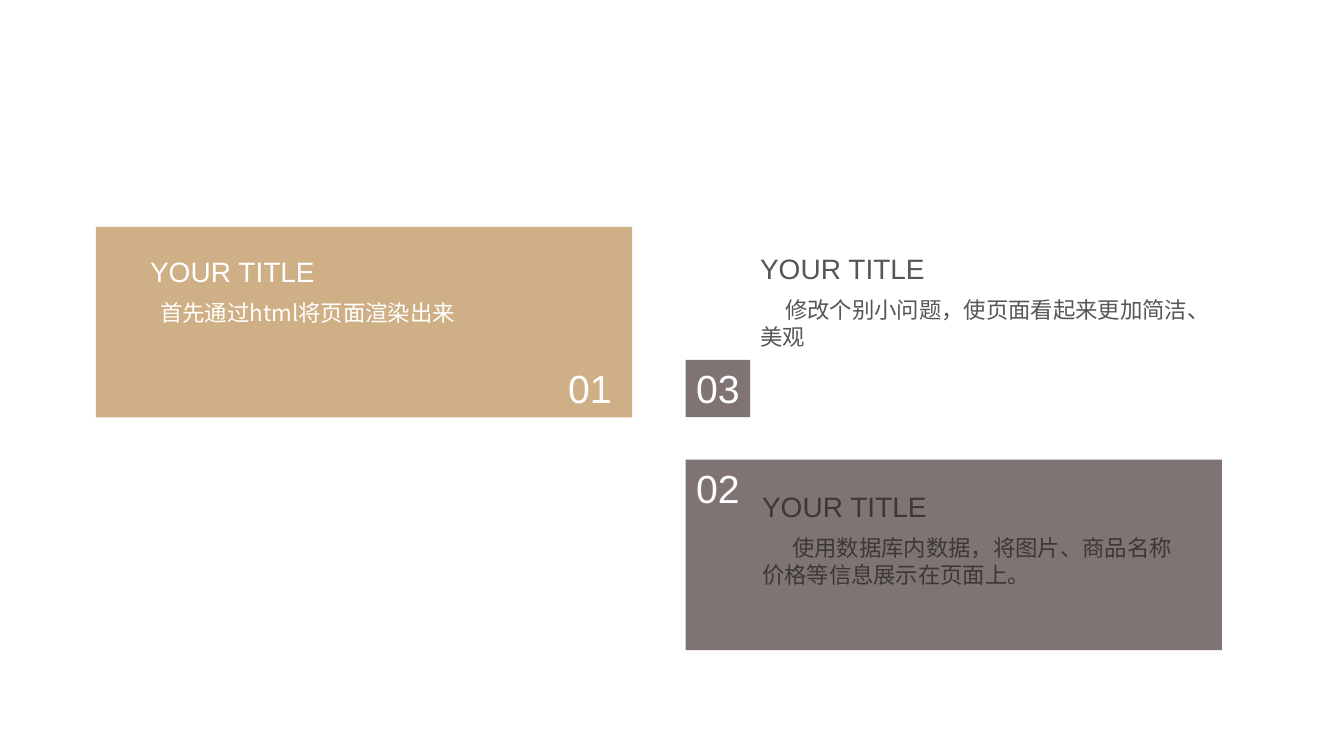
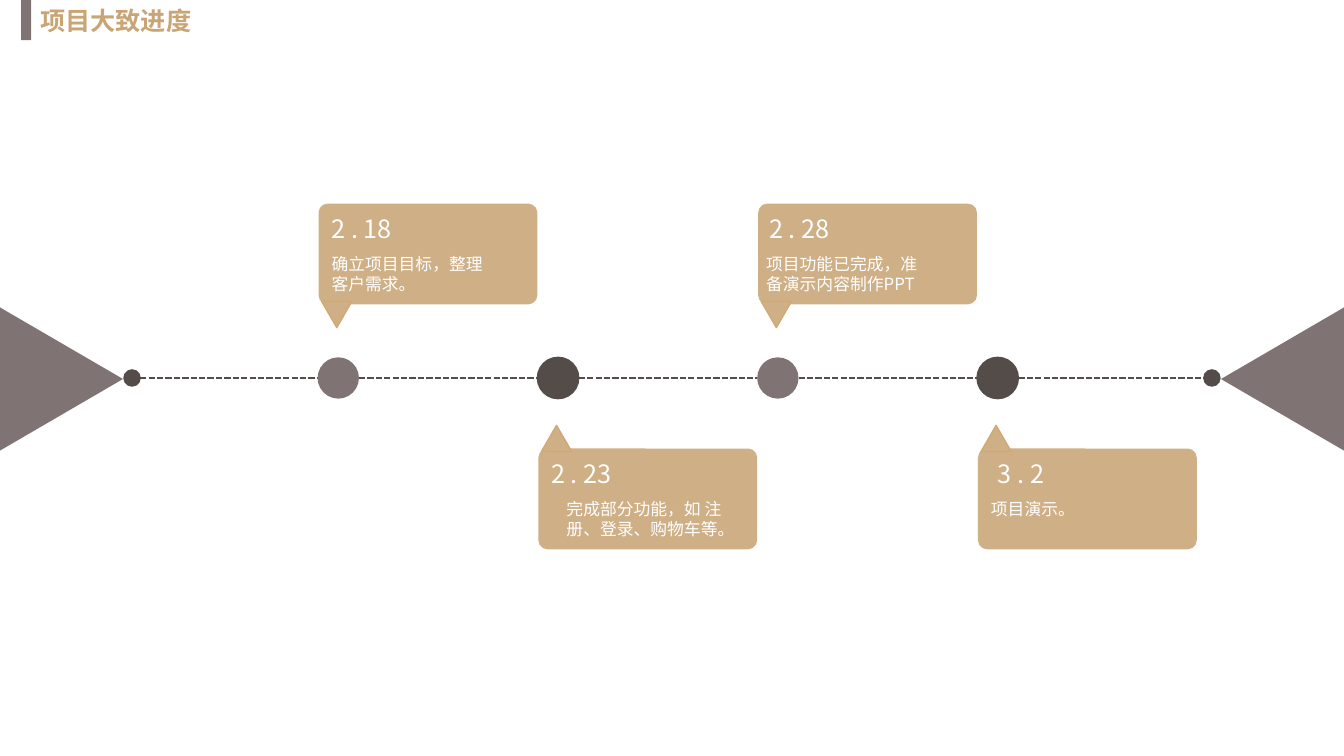
from itertools import pairwise

from lxml import etree
from pptx import Presentation
from pptx.dml.color import RGBColor
from pptx.enum.dml import MSO_LINE
from pptx.enum.shapes import MSO_CONNECTOR, MSO_SHAPE
from pptx.enum.text import MSO_ANCHOR, PP_ALIGN
from pptx.oxml.ns import qn
from pptx.util import Inches, Pt

WHITE = RGBColor(0xFF, 0xFF, 0xFF)
TAN = RGBColor(0xCF, 0xAF, 0x85)
TAN_EDGE = RGBColor(0xD1, 0xAA, 0x73)
TITLE_GOLD = RGBColor(0xC9, 0xA5, 0x75)
TAUPE = RGBColor(0x7F, 0x74, 0x73)
DARK_BROWN = RGBColor(0x53, 0x4C, 0x49)
CHARCOAL = RGBColor(0x3B, 0x38, 0x38)
SLATE = RGBColor(0x53, 0x57, 0x5A)

LATIN_FONT = "Arial"
CHINESE_FONT = "Noto Sans CJK SC"

PANEL_WIDTH, PANEL_HEIGHT = 5.32, 1.89
NUMBER_WIDTH, NUMBER_HEIGHT = 0.64, 0.57

AXIS_Y = 3.75
DOT_SIZE, END_DOT_SIZE = 0.41, 0.16
FIRST_DOT_LEFT, DOT_STEP = 3.15, 2.18
LINE_START, LINE_END = 1.39, 11.94
CARD_WIDTH, CARD_HEIGHT = 2.17, 1.0
UPPER_CARD_TOP, LOWER_CARD_TOP = 2.02, 4.45
POINTER_WIDTH, POINTER_HEIGHT = 0.3, 0.26
POINTER_OVERLAP = 0.03
ARROW_WIDTH, ARROW_HEIGHT = 1.42, 1.22

# date, date offset, description, description offset
MILESTONES = [
    ("2 . 18", 0.03, "确立项目目标，整理客户需求。", 0.03),
    ("2 . 23", 0.03, "完成部分功能，如 注册、登录、购物车等。", 0.18),
    ("2 . 28", 0.01, "项目功能已完成，准备演示内容制作PPT", -0.02),
    ("3 . 2", 0.1, "项目演示。", 0.03),
]


def add_filled(shapes, kind, box, fill, edge=None, rotation=0):
    shape = shapes.add_shape(kind, *map(Inches, box))
    shape.shadow.inherit = False
    shape.fill.solid()
    shape.fill.fore_color.rgb = fill
    if edge is None:
        shape.line.fill.background()
    else:
        shape.line.color.rgb = edge
        shape.line.width = Pt(1)
    shape.rotation = rotation
    return shape


def write_text(shape, text, size, color, font=CHINESE_FONT, bold=False,
               indent=0, wrap=True):
    frame = shape.text_frame
    frame.text = text
    frame.word_wrap = wrap
    frame.vertical_anchor = MSO_ANCHOR.TOP
    paragraph = frame.paragraphs[0]
    paragraph.alignment = PP_ALIGN.LEFT if wrap else PP_ALIGN.CENTER
    if indent:
        properties = paragraph._p.get_or_add_pPr()
        properties.set("marL", "0")
        properties.set("indent", str(Inches(indent)))
    run = paragraph.runs[0]
    run.font.size = Pt(size)
    run.font.bold = bold
    run.font.color.rgb = color
    run.font.name = font
    latin = run._r.get_or_add_rPr().find(qn("a:latin"))
    east_asian = etree.Element(qn("a:ea"), typeface=CHINESE_FONT)
    latin.addnext(east_asian)


def add_text(slide, box, text, size, color, **style):
    text_box = slide.shapes.add_textbox(*map(Inches, box))
    write_text(text_box, text, size, color, **style)


def add_number(slide, left, top, text):
    add_text(slide, (left, top, NUMBER_WIDTH, NUMBER_HEIGHT), text, 28, WHITE,
             font=LATIN_FONT, wrap=False)


def add_topic(slide, left, top, body, color, indent):
    """Heading with its description below."""
    add_text(slide, (left, top, 2.2, 0.44), "YOUR TITLE", 20, color,
             font=LATIN_FONT)
    add_text(slide, (left, top + 0.44, 4.48, 0.64), body, 16, color,
             indent=indent)


def add_dashed_line(slide, start, end):
    line = slide.shapes.add_connector(
        MSO_CONNECTOR.STRAIGHT,
        Inches(start), Inches(AXIS_Y), Inches(end), Inches(AXIS_Y))
    line.line.color.rgb = DARK_BROWN
    line.line.width = Pt(1.5)
    line.line.dash_style = MSO_LINE.SQUARE_DOT
    etree.SubElement(line._element.spPr, qn("a:effectLst"))


def add_dot(slide, left, size, fill, edge=None):
    add_filled(slide.shapes, MSO_SHAPE.OVAL,
               (left, AXIS_Y - size / 2, size, size), fill, edge)


def add_callout(slide, left, top, points_down):
    """Rounded card with a pointer towards the time axis."""
    parts = slide.shapes.add_group_shape().shapes
    card = add_filled(parts, MSO_SHAPE.ROUNDED_RECTANGLE,
                      (left, top, CARD_WIDTH, CARD_HEIGHT), TAN)
    card.adjustments[0] = 0.09
    if points_down:
        pointer_top = top + CARD_HEIGHT - POINTER_OVERLAP
    else:
        pointer_top = top - POINTER_HEIGHT + POINTER_OVERLAP
    add_filled(parts, MSO_SHAPE.ISOSCELES_TRIANGLE,
               (left + 0.03, pointer_top, POINTER_WIDTH, POINTER_HEIGHT),
               TAN, TAN_EDGE, rotation=180 if points_down else 0)


def add_milestone(slide, index, date, date_offset, description, body_offset):
    is_upper = index % 2 == 0
    dot_left = FIRST_DOT_LEFT + index * DOT_STEP
    left = dot_left + 0.01
    top = UPPER_CARD_TOP if is_upper else LOWER_CARD_TOP
    add_dot(slide, dot_left, DOT_SIZE, TAUPE if is_upper else DARK_BROWN,
            None if is_upper else DARK_BROWN)
    add_callout(slide, left, top, is_upper)
    add_text(slide, (left + date_offset, top + 0.05, 1.2, 0.4), date, 18, WHITE)
    add_text(slide, (left + body_offset, top + 0.45, 1.81, 0.5), description,
             12, WHITE)


def add_slide_title(slide, title):
    add_filled(slide.shapes, MSO_SHAPE.RECTANGLE, (0.21, 0, 0.1, 0.4), TAUPE)
    add_text(slide, (0.3, 0, 2.21, 0.4), title, 18, TITLE_GOLD,
             font=LATIN_FONT, bold=True)


def build_steps_slide(slide):
    for left, top, fill in ((0.95, 2.25, TAN), (6.8, 4.56, TAUPE)):
        add_filled(slide.shapes, MSO_SHAPE.RECTANGLE,
                   (left, top, PANEL_WIDTH, PANEL_HEIGHT), fill)
    add_number(slide, 5.53, 3.57, "01")
    add_number(slide, 6.8, 4.56, "02")
    number_tile = add_filled(slide.shapes, MSO_SHAPE.RECTANGLE,
                             (6.8, 3.57, NUMBER_WIDTH, NUMBER_HEIGHT), TAUPE)
    write_text(number_tile, "03", 28, WHITE, font=LATIN_FONT, wrap=False)
    add_topic(slide, 1.39, 2.48, "首先通过html将页面渲染出来", WHITE, 0.1)
    add_topic(slide, 7.46, 4.81,
              "使用数据库内数据，将图片、商品名称价格等信息展示在页面上。",
              CHARCOAL, 0.3)
    add_topic(slide, 7.44, 2.45,
              "修改个别小问题，使页面看起来更加简洁、美观", SLATE, 0.25)


def build_timeline_slide(slide):
    add_slide_title(slide, "项目大致进度")
    stops = [(LINE_START, LINE_START)]
    for index in range(len(MILESTONES)):
        left = FIRST_DOT_LEFT + index * DOT_STEP
        stops.append((left, left + DOT_SIZE))
    stops.append((LINE_END, LINE_END))
    for (_, start), (end, _) in pairwise(stops):
        add_dashed_line(slide, start, end)
    for left in (LINE_START - END_DOT_SIZE, LINE_END):
        add_dot(slide, left, END_DOT_SIZE, DARK_BROWN, DARK_BROWN)
    for index, milestone in enumerate(MILESTONES):
        add_milestone(slide, index, *milestone)
    for left, rotation in ((-0.1, 90), (12.01, 270)):
        add_filled(slide.shapes, MSO_SHAPE.ISOSCELES_TRIANGLE,
                   (left, 3.15, ARROW_WIDTH, ARROW_HEIGHT), TAUPE,
                   rotation=rotation)


def main():
    presentation = Presentation()
    presentation.slide_width = Inches(13.33)
    presentation.slide_height = Inches(7.5)
    blank_layout = presentation.slide_layouts[6]
    for build in (build_steps_slide, build_timeline_slide):
        build(presentation.slides.add_slide(blank_layout))
    presentation.save("out.pptx")


if __name__ == "__main__":
    main()
